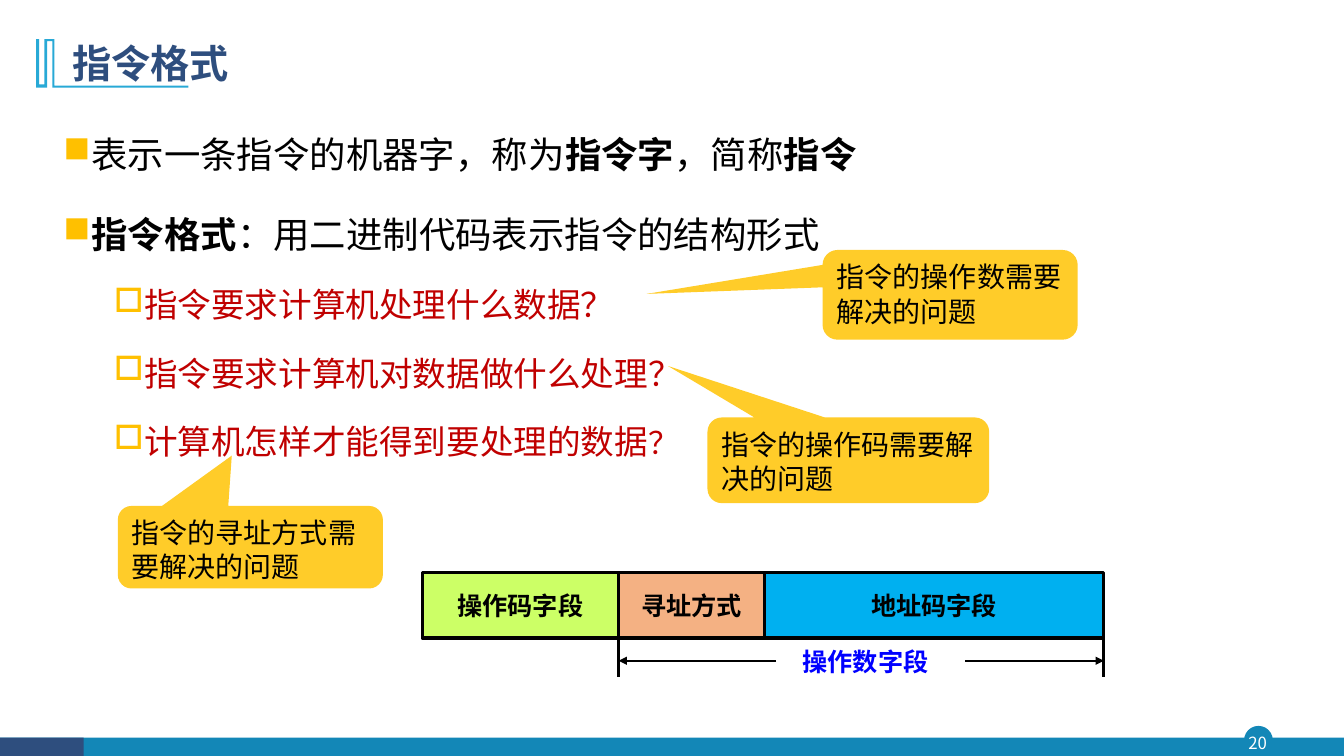
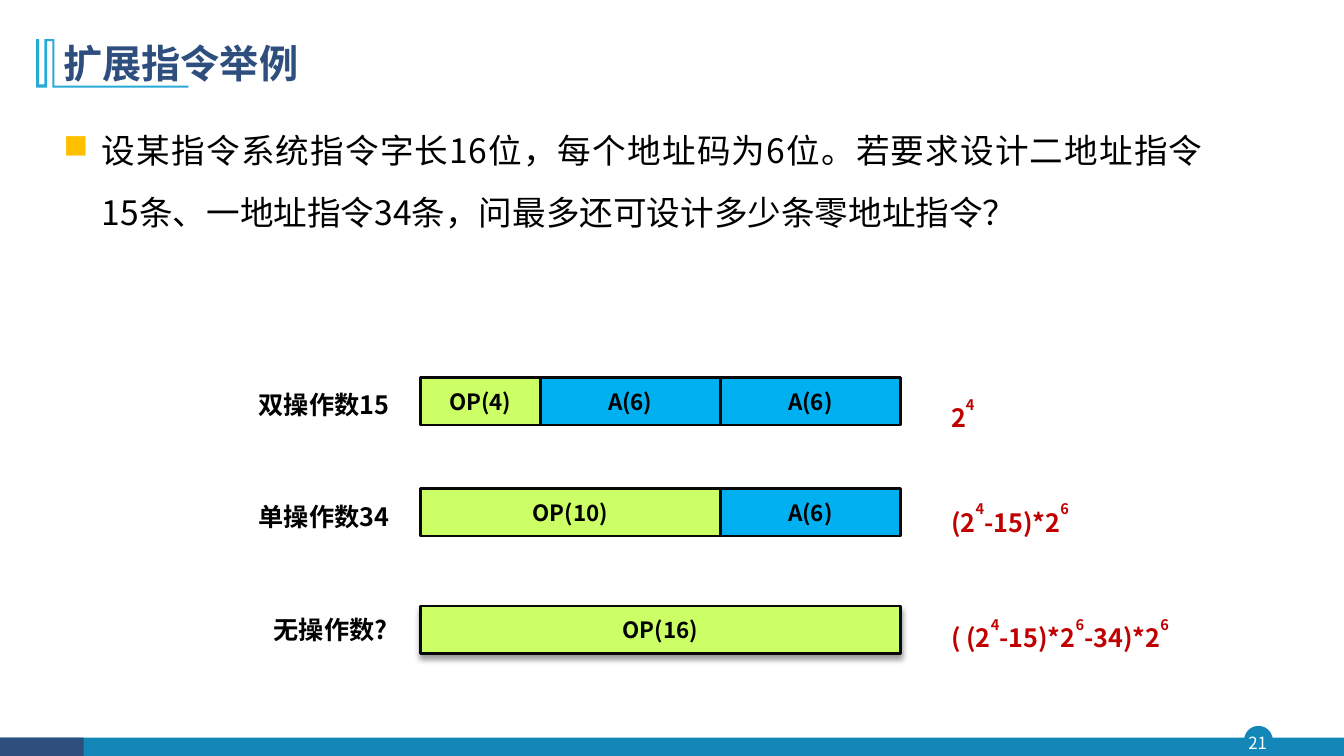
from lxml.etree import SubElement
from pptx import Presentation
from pptx.dml.color import RGBColor
from pptx.enum.shapes import MSO_CONNECTOR, MSO_SHAPE
from pptx.enum.text import MSO_ANCHOR as Anchor, PP_ALIGN as Align
from pptx.oxml.ns import qn
from pptx.util import Cm, Pt

# Shared style
FONT = "Noto Sans CJK SC"
NAVY, TEAL, SKY = "2E4E7E", "1387B7", "28A9D6"
BLACK, WHITE, RED, BLUE = "000000", "FFFFFF", "C00000", "0000FF"
GOLD, AMBER = "FFC000", "FFCC29"
LIME, PEACH, AZURE = "CCFF66", "F4B183", "00B0F0"
LINE_HEIGHT = 1.22
TITLE_MARK = [
    (1.37, 0.99), (1.37, 2.16), (4.75, 2.16), (4.75, 2.21), (1.32, 2.21),
    (1.32, 1.04), (1.19, 1.04), (1.19, 2.21), (0.91, 2.21), (0.91, 0.99),
    (0.99, 0.99), (0.99, 2.13), (1.12, 2.13), (1.12, 0.99),
]

# Bullet levels: Wingdings character, left margin and hanging indent in cm
SQUARE = {"char": "n", "margin": 0.64, "hanging": 0.64}
WIDE_SQUARE = {"char": "n", "margin": 0.97, "hanging": 0.97}
BOX = {"char": "o", "margin": 1.91, "hanging": 0.64}
MAIN = {"size": 26, "line": 47.5, "before": 10, "bullet": SQUARE}
SUB = {"size": 24, "line": 44, "before": 5, "bullet": BOX, "color": RED}
BOLD = {"bold": True}

# Slide 1 content
FORMAT_BULLETS = [
    ([("表示一条指令的机器字，称为", {}), ("指令字", BOLD), ("，简称", {}), ("指令", BOLD)], MAIN),
    ([("指令格式", BOLD), ("：用二进制代码表示指令的结构形式", {})], MAIN),
    ("指令要求计算机处理什么数据？", SUB),
    ("指令要求计算机对数据做什么处理？", SUB),
    ([("计算机怎样才能得到要处理的数据", {}), ("？", {"size": 22})], SUB),
]
CALLOUTS = [  # text, place, tip relative to the centre
    ("指令的寻址方式需要解决的问题", (2.97, 12.75, 6.68, 2.08), (-0.07, -1.11)),
    ("指令的操作数需要解决的问题", (20.73, 6.3, 6.43, 2.26), (-1.19, -0.01)),
    ("指令的操作码需要解决的问题", (17.83, 10.52, 7.1, 2.16), (-0.64, -1.1)),
]
FIELDS = [("操作码字段", LIME), ("寻址方式", PEACH), ("地址码字段", AZURE)]
FIELD_EDGES = [10.64, 15.59, 19.26, 27.82]
FIELD_TOP, FIELD_HEIGHT = 14.43, 1.65

# Slide 2 content
QUESTION = ("设某指令系统指令字长16位，每个地址码为6位。若要求设计二地址指令15条、"
            "一地址指令34条，问最多还可设计多少条零地址指令？")
RAISED = {"baseline": 70}
TWO_POW_4 = [("2", {}), ("4", RAISED)]
ONE_ADDRESS = [("(2", {}), ("4", RAISED), ("-15)*2", {}), ("6", RAISED)]
ZERO_ADDRESS = [("( (2", {}), ("4", RAISED), ("-15)*2", {}), ("6", RAISED),
                ("-34)*2", {}), ("6", RAISED)]
INSTRUCTIONS = [  # bar top, bit widths, label with its place, formula with its top
    (9.52, [("OP", 4), ("A", 6), ("A", 6)], "双操作数15", (6.27, 9.68), TWO_POW_4, 9.83),
    (12.32, [("OP", 10), ("A", 6)], "单操作数34", (6.27, 12.5), ONE_ADDRESS, 12.47),
    (15.27, [("OP", 16)], "无操作数?", (6.65, 15.34), ZERO_ADDRESS, 15.37),
]
WORD_LEFT, WORD_WIDTH, WORD_BITS = 10.59, 12.1, 16
BAR_HEIGHT = 1.19


def rgb(value):
    return RGBColor.from_string(value)


def add_bullet(paragraph, char, margin, hanging):
    properties = paragraph._p.get_or_add_pPr()
    properties.set("marL", str(Cm(margin)))
    properties.set("indent", str(-Cm(hanging)))
    color = SubElement(properties, qn("a:buClr"))
    SubElement(color, qn("a:srgbClr"), val=GOLD)
    SubElement(properties, qn("a:buFont"), typeface="Wingdings")
    SubElement(properties, qn("a:buChar"), char=char)


def add_run(paragraph, text, size, color, bold, baseline=0):
    run = paragraph.add_run()
    run.text = text
    run.font.size = Pt(size)
    run.font.bold = bold
    run.font.color.rgb = rgb(color)
    run.font.name = FONT
    properties = run._r.get_or_add_rPr()
    SubElement(properties, qn("a:ea"), typeface=FONT)
    if baseline:
        properties.set("baseline", str(baseline * 1000))


def add_paragraph(paragraph, content, size=18, color=BLACK, bold=False,
                  align=Align.LEFT, line=None, before=0, bullet=None):
    paragraph.alignment = align
    paragraph.line_spacing = Pt(line or round(size * LINE_HEIGHT, 1))
    paragraph.space_before = Pt(before)
    if bullet:
        add_bullet(paragraph, **bullet)
    runs = [(content, {})] if isinstance(content, str) else content
    for text, changes in runs:
        add_run(paragraph, text, **{"size": size, "color": color, "bold": bold, **changes})


def write_text(shape, content, anchor=Anchor.TOP, inset=None, **style):
    """Content is a string, a list of runs, or a list of (content, style) paragraphs."""
    frame = shape.text_frame
    frame.word_wrap = True
    frame.vertical_anchor = anchor
    if inset is not None:
        frame.margin_left = frame.margin_right = Cm(inset)
        frame.margin_top = frame.margin_bottom = Cm(inset)
    add_paragraph(frame.paragraphs[0], content, **style)


def add_text(slide, place, content, **style):
    box = slide.shapes.add_textbox(*map(Cm, place))
    write_text(box, content, **style)
    return box


def paint(shape, fill, line=None, width=1):
    shape.shadow.inherit = False
    shape.fill.solid()
    shape.fill.fore_color.rgb = rgb(fill)
    if line:
        shape.line.color.rgb = rgb(line)
        shape.line.width = Pt(width)
    else:
        shape.line.fill.background()


def add_box(slide, kind, place, fill, line=None, width=1):
    shape = slide.shapes.add_shape(kind, *map(Cm, place))
    paint(shape, fill, line, width)
    return shape


def add_cell(slide, place, text, fill, size, line, width):
    cell = add_box(slide, MSO_SHAPE.RECTANGLE, place, fill, line, width)
    write_text(cell, text, size=size, bold=True, align=Align.CENTER, anchor=Anchor.MIDDLE)
    return cell


def add_line(slide, start, end, width, arrow=False):
    line = slide.shapes.add_connector(MSO_CONNECTOR.STRAIGHT, *map(Cm, start + end))
    line.line.color.rgb = rgb(BLACK)
    line.line.width = Pt(width)
    if arrow:
        SubElement(line.line._get_or_add_ln(), qn("a:tailEnd"), type="triangle")
    SubElement(line._element.spPr, qn("a:effectLst"))


def add_drop_shadow(shape):
    effects = shape._element.spPr.find(qn("a:effectLst"))
    shadow = SubElement(effects, qn("a:outerShdw"), blurRad=str(Pt(4)), dist=str(Pt(3)),
                        dir="5400000", algn="t", rotWithShape="0")
    color = SubElement(shadow, qn("a:srgbClr"), val=BLACK)
    SubElement(color, qn("a:alpha"), val="40000")


def start_slide(presentation, title, number, title_shift=0):
    slide = presentation.slides.add_slide(presentation.slide_layouts[6])
    # Footer band with page number
    add_box(slide, MSO_SHAPE.OVAL, (31.37, 18.31, 0.69, 0.69), TEAL, TEAL)
    add_box(slide, MSO_SHAPE.RECTANGLE, (0, 18.59, 33.87, 0.46), TEAL)
    add_box(slide, MSO_SHAPE.RECTANGLE, (0, 18.59, 2.11, 0.46), NAVY)
    add_text(slide, (31.29, 18.31, 0.81, 0.79), str(number), size=12, color=WHITE,
             align=Align.CENTER, anchor=Anchor.MIDDLE, inset=0)
    # Title with its mark
    points = [(Cm(x), Cm(y)) for x, y in TITLE_MARK]
    builder = slide.shapes.build_freeform(*points[0])
    builder.add_line_segments(points[1:], close=True)
    paint(builder.convert_to_shape(), SKY)
    add_text(slide, (1.35 + title_shift, 0.71, 29.21, 1.73), title, size=28, color=NAVY,
             bold=True, anchor=Anchor.MIDDLE)
    return slide


def build_format_slide(presentation):
    slide = start_slide(presentation, "指令格式", 20, title_shift=0.22)
    # Bullets
    (first, first_style), *others = FORMAT_BULLETS
    body = add_text(slide, (1.35, 2.62, 29.21, 15.65), first, align=Align.JUSTIFY,
                    **{**first_style, "before": 0})
    for content, style in others:
        add_paragraph(body.text_frame.add_paragraph(), content, align=Align.JUSTIFY, **style)
    # Callouts
    for text, place, tip in CALLOUTS:
        callout = add_box(slide, MSO_SHAPE.ROUNDED_RECTANGULAR_CALLOUT, place, AMBER)
        callout.adjustments[0], callout.adjustments[1] = tip
        write_text(callout, text, size=20)
    # Instruction fields
    for (text, fill), left, right in zip(FIELDS, FIELD_EDGES, FIELD_EDGES[1:]):
        add_cell(slide, (left, FIELD_TOP, right - left, FIELD_HEIGHT), text, fill,
                 18, BLACK, 2.25)
    # Dimension line under the operand fields
    bottom, arrow_y = FIELD_TOP + FIELD_HEIGHT, 16.65
    for edge, inner in ((FIELD_EDGES[1], 19.56), (FIELD_EDGES[3], 24.33)):
        add_line(slide, (edge, bottom), (edge, bottom + 0.97), 2.25)
        add_line(slide, (inner, arrow_y), (edge, arrow_y), 1.5, arrow=True)
    add_text(slide, (15.27, 16.15, 8.38, 1.02), "操作数字段", color=BLUE, bold=True,
             align=Align.RIGHT)


def build_example_slide(presentation):
    slide = start_slide(presentation, "扩展指令举例", 21)
    add_text(slide, (1.35, 2.62, 29.21, 4.09), QUESTION, size=24, line=44,
             align=Align.JUSTIFY, bullet=WIDE_SQUARE)
    # One bar, label and formula for each instruction type
    for top, parts, label, label_place, formula, formula_top in INSTRUCTIONS:
        left = WORD_LEFT
        for name, bits in parts:
            width = WORD_WIDTH * bits / WORD_BITS
            cell = add_cell(slide, (left, top, width, BAR_HEIGHT), f"{name}({bits})",
                            LIME if name == "OP" else AZURE, 16, "080808", 2)
            left += width
            if bits == WORD_BITS:
                add_drop_shadow(cell)
        add_text(slide, (*label_place, 4.2, 1.02), label, bold=True)
        add_text(slide, (23.72, formula_top, 7.2, 1.02), formula, color=RED, bold=True, line=27)


def main():
    presentation = Presentation()
    presentation.slide_width, presentation.slide_height = Cm(33.87), Cm(19.05)
    build_format_slide(presentation)
    build_example_slide(presentation)
    presentation.save("out.pptx")


if __name__ == "__main__":
    main()
